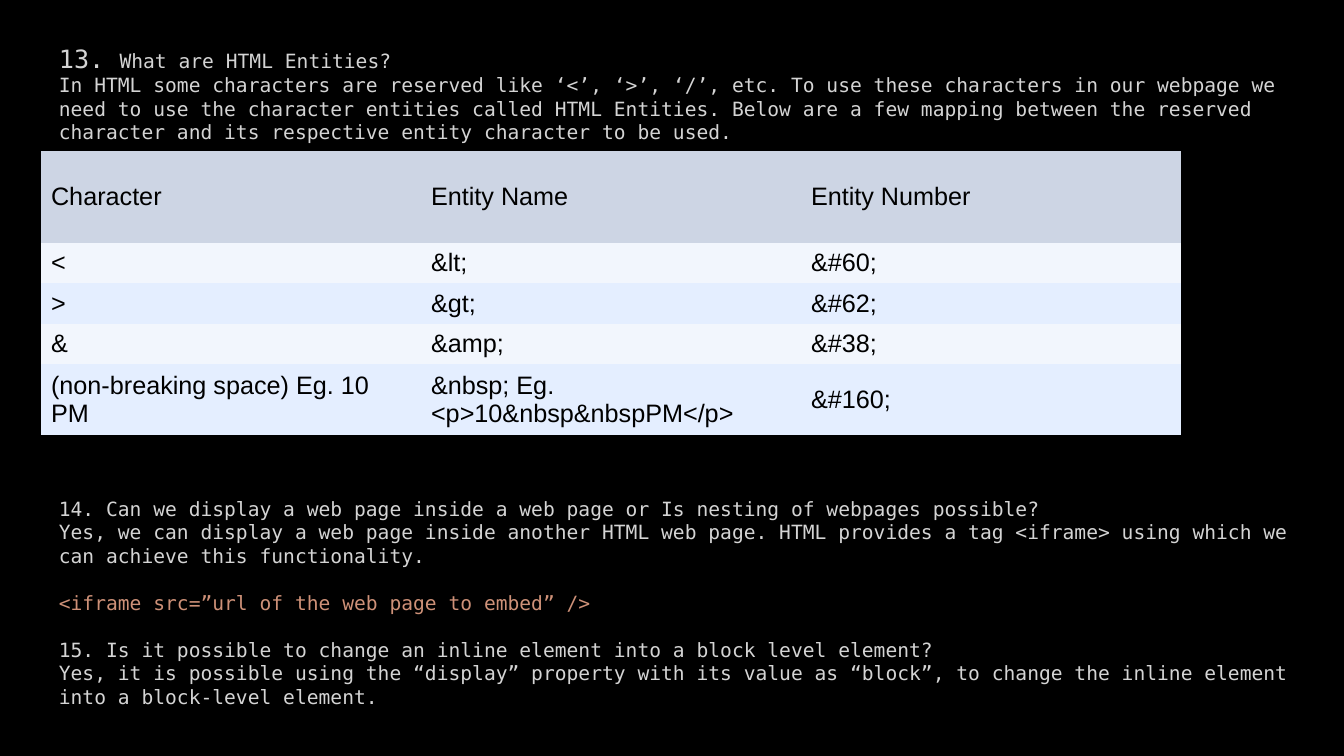
from pptx import Presentation
from pptx.dml.color import RGBColor
from pptx.enum.text import MSO_ANCHOR, MSO_AUTO_SIZE
from pptx.oxml.ns import qn
from pptx.util import Emu, Pt

BLACK = RGBColor(0x00, 0x00, 0x00)
GRAY = RGBColor(0xD4, 0xD4, 0xD4)
ORANGE = RGBColor(0xCE, 0x91, 0x78)
HEADER_FILL = RGBColor(0xCD, 0xD5, 0xE4)
BAND_FILLS = (RGBColor(0xE4, 0xEE, 0xFF), RGBColor(0xF2, 0xF6, 0xFD))

EMU_PER_PX = 914400 / 100.8
LINE_HEIGHT = 16.8
NO_STYLE_NO_GRID = "{2D5ABB26-0587-4C30-8999-92F81FD0307C}"

# Each entry: skipped lines above, colour, text
QUESTIONS = [
    (0, GRAY, "What are HTML Entities?"),
    (0, GRAY, "In HTML some characters are reserved like ‘<’, ‘>’, ‘/’, etc. To use these "
              "characters in our webpage we need to use the character entities called HTML "
              "Entities. Below are a few mapping between the reserved character and its "
              "respective entity character to be used."),
    (15, GRAY, "14. Can we display a web page inside a web page or Is nesting of webpages "
               "possible?"),
    (0, GRAY, "Yes, we can display a web page inside another HTML web page. HTML provides a "
              "tag <iframe> using which we can achieve this functionality."),
    (1, ORANGE, "<iframe src=”url of the web page to embed” />"),
    (1, GRAY, "15. Is it possible to change an inline element into a block level element?"),
    (0, GRAY, "Yes, it is possible using the “display” property with its value as “block”, "
              "to change the inline element into a block-level element."),
]

ENTITIES = [
    ("Character", "Entity Name", "Entity Number"),
    ("<", "&lt;", "&#60;"),
    (">", "&gt;", "&#62;"),
    ("&", "&amp;", "&#38;"),
    ("(non-breaking space) Eg. 10  PM", "&nbsp; Eg. <p>10&nbsp&nbspPM</p>", "&#160;"),
]
ROW_HEIGHTS = (92, 40, 40, 40, 71)


def px(value):
    return Emu(round(value * EMU_PER_PX))


class SlideBuilder:
    code_font = "DejaVu Sans Mono"
    table_font = "Arial"
    body_size = Pt(14)
    large_size = Pt(18)

    def __init__(self, presentation):
        self.slide = presentation.slides.add_slide(presentation.slide_layouts[6])

    def background(self, color):
        fill = self.slide.background.fill
        fill.solid()
        fill.fore_color.rgb = color

    def style(self, paragraph, font_name, size, color):
        paragraph.font.name = font_name
        paragraph.font.size = size
        paragraph.font.color.rgb = color

    def text(self, left, top, width, height, number, entries):
        shape = self.slide.shapes.add_textbox(px(left), px(top), px(width), px(height))
        frame = shape.text_frame
        frame.word_wrap = True
        frame.auto_size = MSO_AUTO_SIZE.SHAPE_TO_FIT_TEXT
        for index, (skipped_lines, color, text) in enumerate(entries):
            paragraph = frame.add_paragraph() if index else frame.paragraphs[0]
            if index == 0:
                number_run = paragraph.add_run()
                number_run.text = number
                number_run.font.size = self.large_size
            paragraph.add_run().text = text
            paragraph.space_before = Pt(skipped_lines * LINE_HEIGHT)
            self.style(paragraph, self.code_font, self.body_size, color)

    def table(self, left, top, column_width, row_heights, rows):
        column_count = len(rows[0])
        frame = self.slide.shapes.add_table(
            len(rows), column_count, px(left), px(top),
            px(column_width * column_count), px(sum(row_heights)))
        frame.element.find(".//" + qn("a:tableStyleId")).text = NO_STYLE_NO_GRID
        table = frame.table
        table.first_row = False
        table.horz_banding = False
        for column in table.columns:
            column.width = px(column_width)
        for row_index, texts in enumerate(rows):
            table.rows[row_index].height = px(row_heights[row_index])
            color = BAND_FILLS[row_index % 2] if row_index else HEADER_FILL
            for column_index, text in enumerate(texts):
                self.cell(table.cell(row_index, column_index), text, color)

    def cell(self, cell, text, color):
        cell.text = text
        cell.vertical_anchor = MSO_ANCHOR.MIDDLE
        cell.fill.solid()
        cell.fill.fore_color.rgb = color
        self.style(cell.text_frame.paragraphs[0], self.table_font, self.large_size, BLACK)


def main():
    presentation = Presentation()
    presentation.slide_width = px(1344)
    presentation.slide_height = px(756)
    builder = SlideBuilder(presentation)
    builder.background(BLACK)
    builder.text(49, 38, 1280, 682, "13. ", QUESTIONS)
    builder.table(41, 151, 380, ROW_HEIGHTS, ENTITIES)
    presentation.save("out.pptx")


if __name__ == "__main__":
    main()
